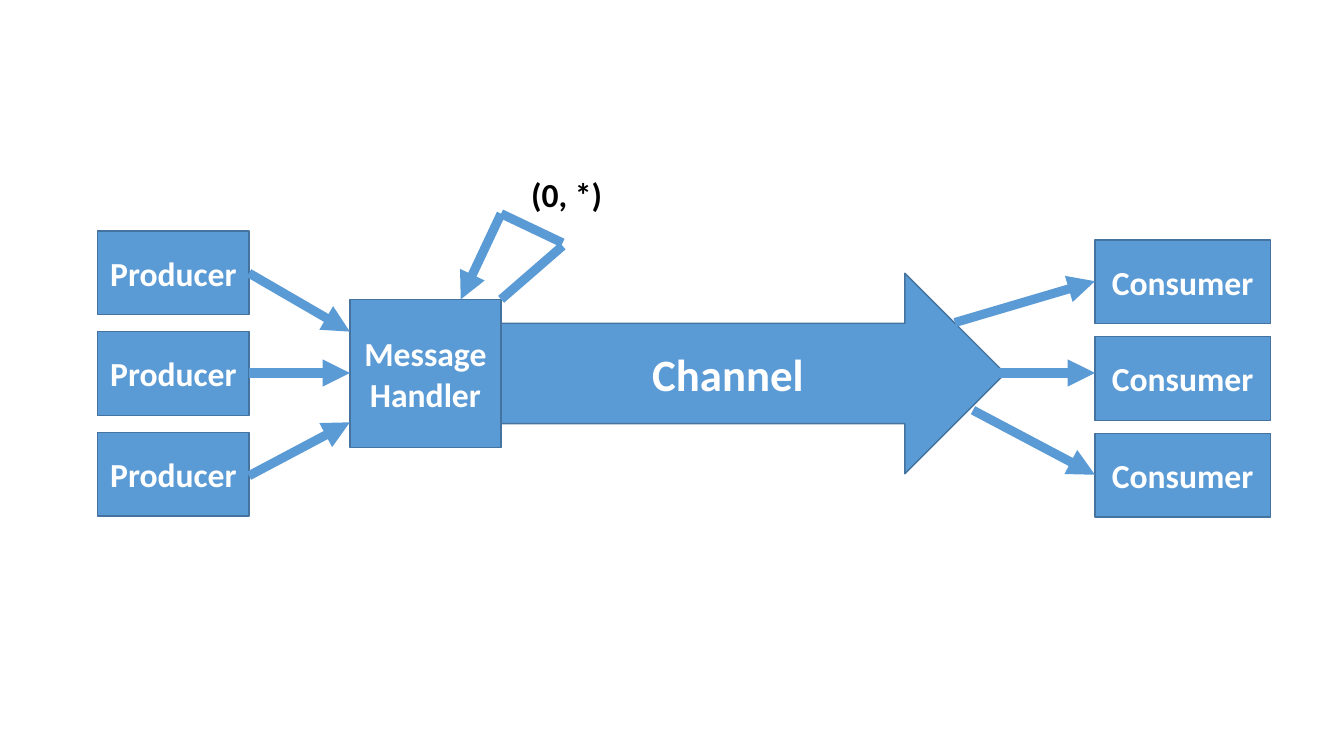
"""Build a slide of producers, a message handler, a channel and consumers."""
from pptx import Presentation
from pptx.dml.color import RGBColor
from pptx.enum.shapes import MSO_CONNECTOR as Connector, MSO_SHAPE as Shape
from pptx.enum.text import MSO_ANCHOR as Anchor, MSO_AUTO_SIZE as AutoSize, PP_ALIGN as Align
from pptx.oxml.ns import qn
from pptx.util import Inches, Pt
from lxml.etree import SubElement

BLUE = RGBColor(0x5B, 0x9B, 0xD5)
DARK_BLUE = RGBColor(0x43, 0x73, 0x9E)
WHITE = RGBColor(0xFF, 0xFF, 0xFF)
BLACK = RGBColor(0x00, 0x00, 0x00)

PRODUCER_LEFT, PRODUCER_TOP, PRODUCER_PITCH = 0.97, 2.29, 1.0
CONSUMER_LEFT, CONSUMER_TOP, CONSUMER_PITCH = 10.86, 2.38, 0.96
BOX_WIDTH, CONSUMER_WIDTH, BOX_HEIGHT = 1.5, 1.74, 0.83
PRODUCER_RIGHT = PRODUCER_LEFT + BOX_WIDTH
HANDLER_LEFT, HANDLER_TOP = PRODUCER_RIGHT + 1, 2.97
HANDLER_RIGHT = HANDLER_LEFT + BOX_WIDTH
AXIS = 3.7

presentation = Presentation()
presentation.slide_width = Inches(13.33)
presentation.slide_height = Inches(7.5)
slide = presentation.slides.add_slide(presentation.slide_layouts[6])


def add_block(kind, text, left, top, width, height, size=24):
    shape = slide.shapes.add_shape(kind, Inches(left), Inches(top), Inches(width), Inches(height))
    shape.shadow.inherit = False
    shape.fill.solid()
    shape.fill.fore_color.rgb = BLUE
    shape.line.color.rgb = DARK_BLUE
    shape.line.width = Pt(1)
    frame = shape.text_frame
    frame.word_wrap = True
    frame.vertical_anchor = Anchor.MIDDLE
    paragraph = frame.paragraphs[0]
    paragraph.text = text
    paragraph.alignment = Align.CENTER
    paragraph.font.name = "Calibri"
    paragraph.font.size = Pt(size)
    paragraph.font.bold = True
    paragraph.font.color.rgb = WHITE


def add_line(start, end, arrow=True):
    points = [Inches(value) for value in (*start, *end)]
    connector = slide.shapes.add_connector(Connector.STRAIGHT, *points)
    connector.line.color.rgb = BLUE
    connector.line.width = Pt(6.5)
    if arrow:
        SubElement(connector.line._get_or_add_ln(), qn("a:tailEnd"), type="triangle")
    SubElement(connector._element.spPr, qn("a:effectLst"))


add_block(Shape.RIGHT_ARROW, "Channel", HANDLER_RIGHT, 2.71, 5, 1.99, size=32)
add_block(Shape.RECTANGLE, "Message\vHandler", HANDLER_LEFT, HANDLER_TOP, BOX_WIDTH, 1.47)

for row in range(3):
    add_block(Shape.RECTANGLE, "Producer", PRODUCER_LEFT,
              PRODUCER_TOP + row * PRODUCER_PITCH, BOX_WIDTH, BOX_HEIGHT)
    add_block(Shape.RECTANGLE, "Consumer", CONSUMER_LEFT,
              CONSUMER_TOP + row * CONSUMER_PITCH, CONSUMER_WIDTH, BOX_HEIGHT)

for start_y, end_y in ((2.71, 3.29), (AXIS, AXIS), (4.72, 4.19)):
    add_line((PRODUCER_RIGHT, start_y), (HANDLER_LEFT, end_y))

for start, end_y in (((9.47, 3.2), 2.79), ((9.86, AXIS), AXIS), ((9.65, 4.07), 4.71)):
    add_line(start, (CONSUMER_LEFT, end_y))

loop_peak = (HANDLER_RIGHT, 2.12)
add_line(loop_peak, (5.58, 2.41), arrow=False)
add_line((HANDLER_RIGHT, HANDLER_TOP), (5.58, 2.44), arrow=False)
add_line(loop_peak, (4.57, HANDLER_TOP))

label = slide.shapes.add_textbox(Inches(5.17), Inches(1.68), Inches(1.07), Inches(0.5))
label.text_frame.word_wrap = True
label.text_frame.auto_size = AutoSize.SHAPE_TO_FIT_TEXT
paragraph = label.text_frame.paragraphs[0]
paragraph.text = "(0, *)"
paragraph.font.name = "Calibri"
paragraph.font.size = Pt(24)
paragraph.font.bold = True
paragraph.font.color.rgb = BLACK

presentation.save("out.pptx")
